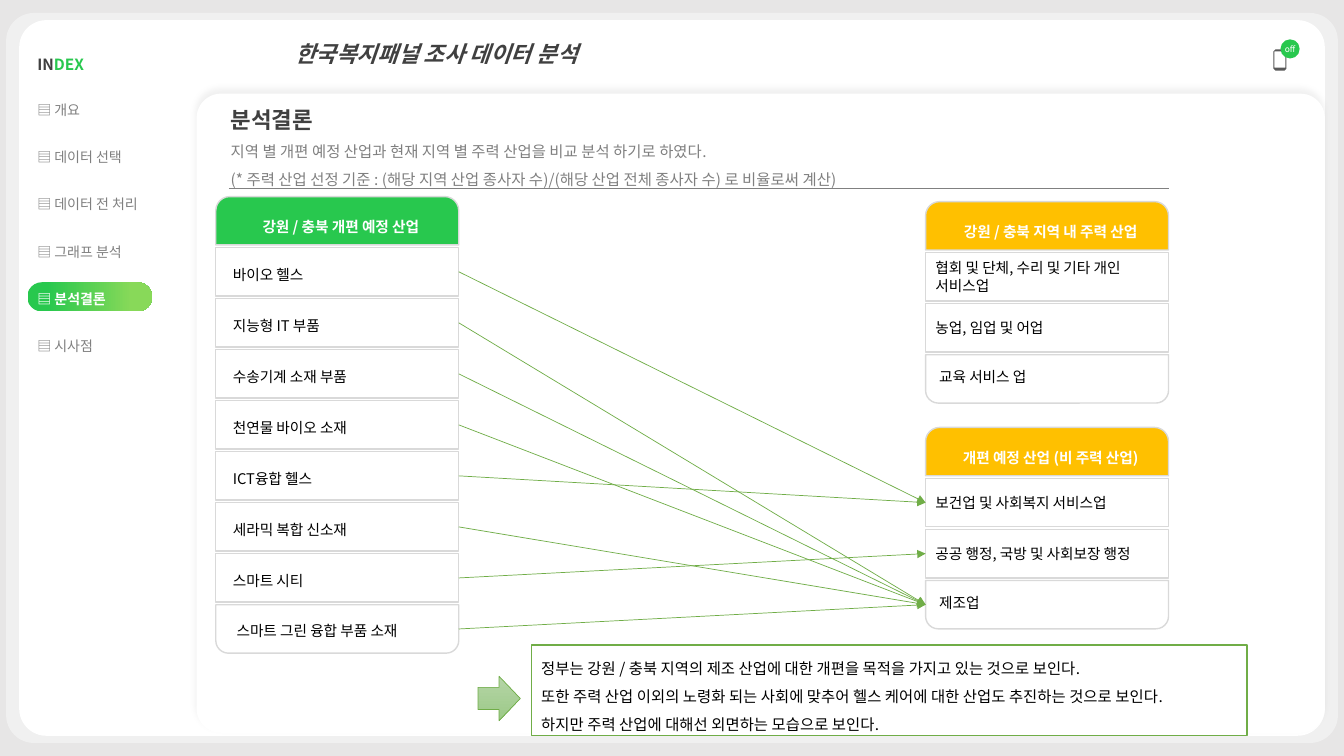
from dataclasses import dataclass

from lxml.etree import SubElement
from pptx import Presentation
from pptx.dml.color import RGBColor
from pptx.enum.shapes import MSO_CONNECTOR as Connector, MSO_SHAPE as Shape
from pptx.enum.text import MSO_ANCHOR as Anchor, MSO_AUTO_SIZE as AutoSize, PP_ALIGN as Align
from pptx.oxml.ns import qn
from pptx.util import Inches, Pt


@dataclass(frozen=True)
class Theme:
    font: str = "Noto Sans CJK KR"
    page: str = "E7E6E6"
    white: str = "FFFFFF"
    black: str = "000000"
    heading: str = "404040"
    muted: str = "808080"
    phone: str = "595959"
    border: str = "D9D9D9"
    green: str = "28C84E"
    lime: str = "88D959"
    amber: str = "FFC000"
    link: str = "70AD47"
    arrow_top: str = "B5D5A7"
    arrow_bottom: str = "9CC987"
    title_size: float = 16
    body_size: float = 11
    card_size: float = 10.5
    menu_size: float = 10
    badge_size: float = 6


THEME = Theme()
CARD_WIDTH, ROW_HEIGHT, ROW_PITCH = 2.41, 0.48, 4.05 / 8
PLANNED_LEFT, PLANNED_TOP = 2.14, 1.95
MAIN_LEFT, MAIN_TOP, MINOR_TOP = 9.18, 2.0, 4.24

MENU = ["개요", "데이터 선택", "데이터 전 처리", "그래프 분석", "분석결론", "시사점"]
CURRENT_MENU = "분석결론"
INTRO = [
    "분석결론",
    "지역 별 개편 예정 산업과 현재 지역 별 주력 산업을 비교 분석 하기로 하였다.",
    "(* 주력 산업 선정 기준 : (해당 지역 산업 종사자 수)/(해당 산업 전체 종사자 수) 로 비율로써 계산)",
]
PLANNED = ["바이오 헬스", "지능형 IT 부품", "수송기계 소재 부품", "천연물 바이오 소재",
           "ICT융합 헬스", "세라믹 복합 신소재", "스마트 시티", "스마트 그린 융합 부품 소재"]
MAIN = ["협회 및 단체, 수리 및 기타 개인 서비스업", "농업, 임업 및 어업", "교육 서비스 업"]
MINOR = ["보건업 및 사회복지 서비스업", "공공 행정, 국방 및 사회보장 행정", "제조업"]
MINOR_ROW_OF_PLANNED = [0, 2, 2, 2, 0, 2, 1, 2]
CONCLUSION = [
    "정부는 강원 / 충북 지역의 제조 산업에 대한 개편을 목적을 가지고 있는 것으로 보인다.",
    "또한 주력 산업 이외의 노령화 되는 사회에 맞추어 헬스 케어에 대한 산업도 추진하는 것으로 보인다.",
    "하지만 주력 산업에 대해선 외면하는 모습으로 보인다.",
]


def rgb(color):
    return RGBColor.from_string(color)


def style_run(run, size, color, bold=False, italic=False):
    font = run.font
    font.size, font.bold, font.italic = Pt(size), bold, italic
    font.color.rgb = rgb(color)
    font.name = THEME.font
    SubElement(font._element, qn("a:ea"), typeface=THEME.font)


def style_paragraph(paragraph, size, color, bold=False, italic=False, align=Align.LEFT, spacing=None):
    paragraph.alignment = align
    paragraph.line_spacing = spacing
    for run in paragraph.runs:
        style_run(run, size, color, bold, italic)


def box(shapes, kind, place, fill, line=None, line_width=1, adjust=()):
    shape = shapes.add_shape(kind, *map(Inches, place))
    shape.shadow.inherit = False
    for index, value in enumerate(adjust):
        shape.adjustments[index] = value
    if isinstance(fill, str):
        shape.fill.solid()
        shape.fill.fore_color.rgb = rgb(fill)
    else:
        angle, stops = fill
        shape.fill.gradient()
        shape.fill.gradient_angle = angle
        for stop, (position, color) in zip(shape.fill.gradient_stops, stops):
            stop.position, stop.color.rgb = position, rgb(color)
    if line:
        shape.line.color.rgb = rgb(line)
        shape.line.width = Pt(line_width)
    else:
        shape.line.fill.background()
    return shape


def panel(shapes, place, color, alpha, **shadow):
    shape = box(shapes, Shape.ROUNDED_RECTANGLE, place, THEME.white, adjust=[0.038])
    effects = shape.element.spPr.find(qn("a:effectLst"))
    outer = SubElement(effects, qn("a:outerShdw"), rotWithShape="0", **shadow)
    tint = SubElement(outer, qn("a:srgbClr"), val=color)
    SubElement(tint, qn("a:alpha"), val=str(alpha * 1000))


def connect(shapes, start, end, color, width, arrow=False):
    link = shapes.add_connector(Connector.STRAIGHT, *map(Inches, (*start, *end)))
    link.line.color.rgb = rgb(color)
    link.line.width = Pt(width)
    properties = link.element.spPr
    if arrow:
        SubElement(properties.find(qn("a:ln")), qn("a:tailEnd"), type="triangle")
    SubElement(properties, qn("a:effectLst"))


def page_title(slide, text):
    title = slide.shapes.title
    title.left, title.top, title.width, title.height = map(Inches, (2.65, 0.35, 3.36, 0.37))
    frame = title.text_frame
    frame.text = text
    frame.word_wrap = False
    frame.auto_size = AutoSize.NONE
    frame.vertical_anchor = Anchor.MIDDLE
    style_paragraph(frame.paragraphs[0], THEME.title_size, THEME.heading, True, True, Align.CENTER)


def phone_badge(shapes):
    contours = [
        [(12.65, 0.49), (12.74, 0.49), (12.76, 0.51), (12.76, 0.68), (12.74, 0.7),
         (12.65, 0.7), (12.63, 0.68), (12.63, 0.51)],
        [(12.64, 0.51), (12.64, 0.67), (12.75, 0.67), (12.75, 0.51)],
    ]
    outline, screen = [[(Inches(x), Inches(y)) for x, y in contour] for contour in contours]
    builder = shapes.build_freeform(*outline[0])
    builder.add_line_segments(outline[1:])
    builder.move_to(*screen[0])
    builder.add_line_segments(screen[1:])
    phone = builder.convert_to_shape()
    phone.shadow.inherit = False
    phone.fill.solid()
    phone.fill.fore_color.rgb = rgb(THEME.phone)
    phone.line.fill.background()

    badge = box(shapes, Shape.OVAL, (12.7, 0.39, 0.19, 0.19), THEME.green)
    frame = badge.text_frame
    frame.margin_left = frame.margin_right = frame.margin_top = frame.margin_bottom = Inches(0.04)
    frame.word_wrap = False
    frame.text = "off"
    style_paragraph(frame.paragraphs[0], THEME.badge_size, THEME.white, align=Align.CENTER)


def intro(shapes):
    frame = shapes.add_textbox(*map(Inches, (2.19, 0.87, 9.4, 1.02))).text_frame
    frame.word_wrap = True
    frame.auto_size = AutoSize.SHAPE_TO_FIT_TEXT
    frame.text = "\n".join(INTRO)
    heading, *details = frame.paragraphs
    style_paragraph(heading, THEME.title_size, THEME.heading, True, spacing=1.5)
    for detail in details:
        style_paragraph(detail, THEME.body_size, THEME.muted, spacing=1.5)


def menu(shapes):
    table = shapes.add_table(9, 1, *map(Inches, (0.27, 0.34, 1.6, 4.2))).table
    table.first_row = table.horz_banding = False
    for cell in table.iter_cells():
        cell.fill.background()
        cell.vertical_anchor = Anchor.MIDDLE
    index = table.cell(0, 0).text_frame.paragraphs[0]
    index.text = "IN"
    style_paragraph(index, THEME.body_size, THEME.heading, True, spacing=1.5)
    ending = index.add_run()
    ending.text = "DEX"
    style_run(ending, THEME.body_size, THEME.green, True)
    for row, label in enumerate(MENU, 1):
        entry = table.cell(row, 0).text_frame.paragraphs[0]
        entry.text = f"▤ {label}"
        current = label == CURRENT_MENU
        style_paragraph(entry, THEME.menu_size, THEME.white if current else THEME.muted, current, spacing=1.5)


def card(shapes, left, top, color, header, items, indent=0.1, drop=0.05):
    group = shapes.add_group_shape().shapes
    for row, text in enumerate([header, *items]):
        is_header = row == 0
        corners = (0.29, 0) if is_header else (0, 0.261 if row == len(items) else 0)
        place = (left, top + row * ROW_PITCH, CARD_WIDTH, ROW_HEIGHT)
        cell = box(group, Shape.ROUND_2_SAME_RECTANGLE, place, color if is_header else THEME.white,
                   THEME.border, adjust=corners)
        frame = cell.text_frame
        frame.word_wrap = True
        frame.vertical_anchor = Anchor.MIDDLE
        frame.margin_left = Inches(0.17 if is_header else indent)
        frame.margin_top = Inches(0.13 if is_header else drop)
        frame.text = text
        style_paragraph(frame.paragraphs[0], THEME.card_size, THEME.white if is_header else THEME.black,
                        is_header, align=Align.CENTER if is_header else Align.LEFT)


def row_middle(top, row):
    return top + (row + 1) * ROW_PITCH + ROW_HEIGHT / 2


def conclusion(shapes):
    note = box(shapes, Shape.RECTANGLE, (5.27, 6.4, 7.1, 0.9), THEME.white, THEME.link)
    frame = note.text_frame
    frame.word_wrap = True
    frame.vertical_anchor = Anchor.TOP
    frame.text = "\n".join(CONCLUSION)
    for sentence in frame.paragraphs:
        style_paragraph(sentence, THEME.body_size, THEME.black, spacing=1.5)
    box(shapes, Shape.RIGHT_ARROW, (4.74, 6.71, 0.42, 0.44),
        (270, [(0, THEME.arrow_top), (1, THEME.arrow_bottom)]), THEME.link, 0.5)


def main():
    deck = Presentation()
    deck.slide_width, deck.slide_height = Inches(13.33), Inches(7.5)
    slide = deck.slides.add_slide(deck.slide_layouts[5])
    slide.background.fill.solid()
    slide.background.fill.fore_color.rgb = rgb(THEME.page)
    shapes = slide.shapes

    panel(shapes, (0.19, 0.2, 12.95, 7.1), THEME.white, 40, sx="102000", sy="102000", algn="ctr")
    box(shapes, Shape.ROUNDED_RECTANGLE, (0.27, 2.8, 1.24, 0.29),
        (0, [(0.16, THEME.green), (0.84, THEME.lime)]), adjust=[0.5])
    page_title(slide, "한국복지패널 조사 데이터 분석")
    shapes._spTree.append(shapes.title.element)
    phone_badge(shapes)
    panel(shapes, (1.95, 0.93, 11.19, 6.34), THEME.black, 5,
          blurRad=str(Pt(4)), dist=str(Pt(3)), dir="16200000")
    connect(shapes, (2.27, 1.87), (11.59, 1.87), THEME.muted, 1)
    intro(shapes)
    menu(shapes)
    card(shapes, PLANNED_LEFT, PLANNED_TOP, THEME.green, "강원 / 충북 개편 예정 산업", PLANNED, 0.17, 0.11)
    card(shapes, MAIN_LEFT, MAIN_TOP, THEME.amber, "강원 / 충북 지역 내 주력 산업", MAIN)
    card(shapes, MAIN_LEFT, MINOR_TOP, THEME.amber, "개편 예정 산업 (비 주력 산업)", MINOR)
    for planned_row, minor_row in enumerate(MINOR_ROW_OF_PLANNED):
        connect(shapes, (PLANNED_LEFT + CARD_WIDTH, row_middle(PLANNED_TOP, planned_row)),
                (MAIN_LEFT, row_middle(MINOR_TOP, minor_row)), THEME.link, 0.5, arrow=True)
    conclusion(shapes)
    deck.save("out.pptx")


if __name__ == "__main__":
    main()
